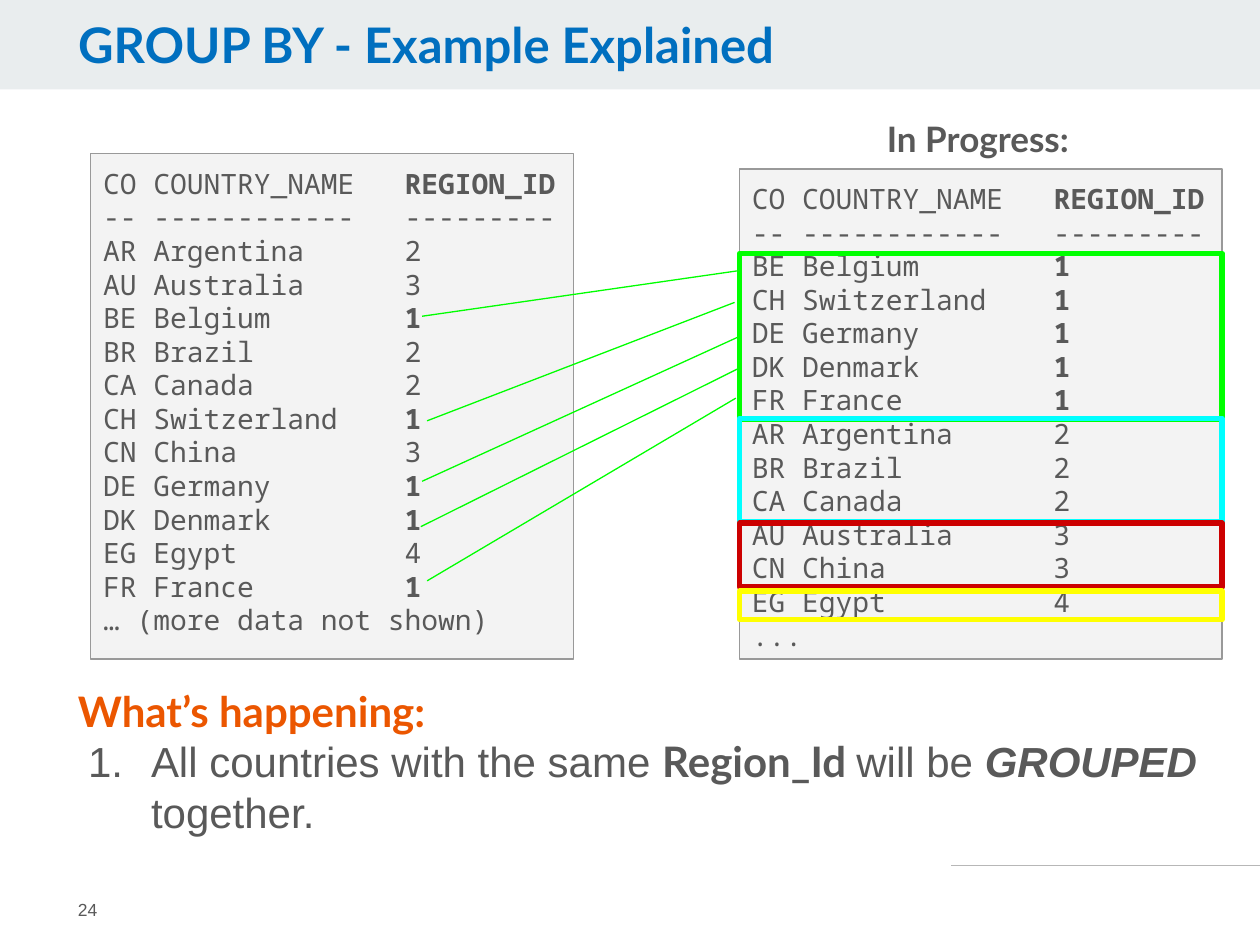
from lxml.etree import SubElement
from pptx import Presentation
from pptx.dml.color import RGBColor
from pptx.enum.shapes import MSO_CONNECTOR, MSO_SHAPE
from pptx.enum.text import MSO_ANCHOR, MSO_AUTO_SIZE, PP_ALIGN
from pptx.oxml.ns import qn
from pptx.util import Inches, Pt

COLORS = {
    "band": "E9EDEE", "title": "006FBF", "text": "595959", "accent": "EB5600",
    "panel": "F3F3F3", "border": "999999", "rule": "B7B7B7",
    "green": "00FF00", "cyan": "00FFFF", "red": "CC0000", "yellow": "FFFF00",
}
COUNTRIES = {
    "AR": ("Argentina", 2), "AU": ("Australia", 3), "BE": ("Belgium", 1),
    "BR": ("Brazil", 2), "CA": ("Canada", 2), "CH": ("Switzerland", 1),
    "CN": ("China", 3), "DE": ("Germany", 1), "DK": ("Denmark", 1),
    "EG": ("Egypt", 4), "FR": ("France", 1),
}
PANEL_WIDTH = 3.83
RESULT_LEFT = 5.87
GROUP_BOXES = [("green", 2.01, 1.32), ("cyan", 3.32, 0.82),
               ("red", 4.15, 0.51), ("yellow", 4.69, 0.23)]
MATCHES = [((3.35, 2.51), (5.85, 2.15)), ((3.39, 3.34), (5.83, 2.4)),
           ((3.35, 3.82), (5.87, 2.67)), ((3.34, 4.18), (5.85, 2.93)),
           ((3.39, 4.61), (5.84, 3.16))]


def color(name):
    """Return the named palette color."""
    return RGBColor.from_string(COLORS[name])


def style_font(font, face, size, tint, bold=False):
    """Apply face, size, color and weight to a font."""
    font.name, font.size, font.bold = face, Pt(size), bold
    font.color.rgb = color(tint)


def prepare_frame(frame, vertical_inset=0.05, anchor=MSO_ANCHOR.TOP):
    """Set wrapping, insets and anchor, and return the first paragraph."""
    frame.word_wrap = True
    frame.auto_size = MSO_AUTO_SIZE.NONE
    frame.vertical_anchor = anchor
    frame.margin_left = frame.margin_right = Inches(0.1)
    frame.margin_top = frame.margin_bottom = Inches(vertical_inset)
    frame.paragraphs[0].alignment = PP_ALIGN.LEFT
    return frame.paragraphs[0]


def add_box(slide, bounds, fill=None, line=None, width=0.75):
    """Add a flat rectangle with an optional fill and outline."""
    box = slide.shapes.add_shape(MSO_SHAPE.RECTANGLE, *map(Inches, bounds))
    box.shadow.inherit = False
    if fill:
        box.fill.solid()
        box.fill.fore_color.rgb = color(fill)
    else:
        box.fill.background()
    if line:
        box.line.color.rgb = color(line)
        box.line.width = Pt(width)
    else:
        box.line.fill.background()
    return box


def add_line(slide, start, end, tint):
    """Add a thin straight line without a shadow."""
    line = slide.shapes.add_connector(
        MSO_CONNECTOR.STRAIGHT, *map(Inches, (*start, *end)))
    line.line.color.rgb = color(tint)
    line.line.width = Pt(0.75)
    SubElement(line.element.spPr, qn("a:effectLst"))


def add_label(slide, bounds, text, face, size, tint, bold=False, **frame_options):
    """Add a one-paragraph text box and return its frame."""
    frame = slide.shapes.add_textbox(*map(Inches, bounds)).text_frame
    paragraph = prepare_frame(frame, **frame_options)
    paragraph.text = text
    style_font(paragraph.font, face, size, tint, bold)
    return frame


def add_title(slide, text):
    """Place the title over its header band."""
    title = slide.shapes.title
    title.left, title.top, title.width, title.height = map(
        Inches, (0.52, 0.12, 7.88, 0.55))
    paragraph = prepare_frame(title.text_frame)
    paragraph.text = text
    paragraph.line_spacing = 0.9
    style_font(paragraph.font, "Lato", 28, "title", True)
    band = add_box(slide, (0, 0, 10, 0.71), "band")
    title.element.addprevious(band.element)


def add_listing(slide, left, top, height, codes, ending):
    """Add a panel of query output with aligned columns."""
    panel = add_box(slide, (left, top, PANEL_WIDTH, height), "panel", "border")
    frame = panel.text_frame
    paragraph = prepare_frame(frame, 0.1)
    rows = [("CO", "COUNTRY_NAME", "REGION_ID"), ("-" * 2, "-" * 12, "-" * 9)]
    rows += [(code, *COUNTRIES[code]) for code in codes]
    for code, country, region in rows:
        paragraph.add_run().text = f"{code} {country:<15}"
        region_run = paragraph.add_run()
        region_run.text = str(region)
        if region in ("REGION_ID", 1):
            region_run.font.bold = True
        paragraph = frame.add_paragraph()
    paragraph.text = ending
    for paragraph in frame.paragraphs:
        paragraph.alignment = PP_ALIGN.LEFT
        paragraph.line_spacing = Pt(19.2)
        style_font(paragraph.font, "Noto Sans Mono", 16, "text")


def add_explanation(slide):
    """Add the heading and its numbered step."""
    frame = add_label(slide, (0.52, 5.39, 9.19, 1.32), "What’s happening:",
                      "Lato", 24, "accent", True)
    step = frame.add_paragraph()
    style_font(step.font, "Arial", 24, "text")
    for text in ("All countries with the same ", "Region_Id ", "will be ",
                 "GROUPED", " together."):
        run = step.add_run()
        run.text = text
        if text == "Region_Id ":
            run.font.name, run.font.bold = "Lato", True
        elif text == "GROUPED":
            run.font.bold = run.font.italic = True
    properties = step._p.get_or_add_pPr()
    properties.set("marL", str(Inches(0.58)))
    properties.set("indent", str(Inches(-0.5)))
    numbering = properties.makeelement(qn("a:buAutoNum"), {"type": "arabicPeriod"})
    properties.insert(0, numbering)


def main():
    """Build the slide and save it."""
    presentation = Presentation()
    presentation.slide_width, presentation.slide_height = Inches(10), Inches(7.5)
    slide = presentation.slides.add_slide(presentation.slide_layouts[5])
    add_title(slide, "GROUP BY - Example Explained")
    add_line(slide, (7.55, 6.87), (10, 6.87), "rule")
    add_label(slide, (0.52, 6.93, 1.23, 0.57), "24", "Arial", 10, "text",
              vertical_inset=0.1, anchor=MSO_ANCHOR.MIDDLE)
    add_listing(slide, 0.72, 1.22, 4.01, COUNTRIES, "… (more data not shown)")
    add_explanation(slide)
    by_region = sorted(COUNTRIES, key=lambda code: COUNTRIES[code][1])
    add_listing(slide, RESULT_LEFT, 1.34, 3.89, by_region, "...")
    for tint, top, height in GROUP_BOXES:
        add_box(slide, (RESULT_LEFT, top, PANEL_WIDTH, height), line=tint, width=3)
    for start, end in MATCHES:
        add_line(slide, start, end, "green")
    add_label(slide, (6.94, 0.88, 1.92, 0.46), "In Progress:", "Lato", 20, "text", True)
    presentation.save("out.pptx")


if __name__ == "__main__":
    main()
